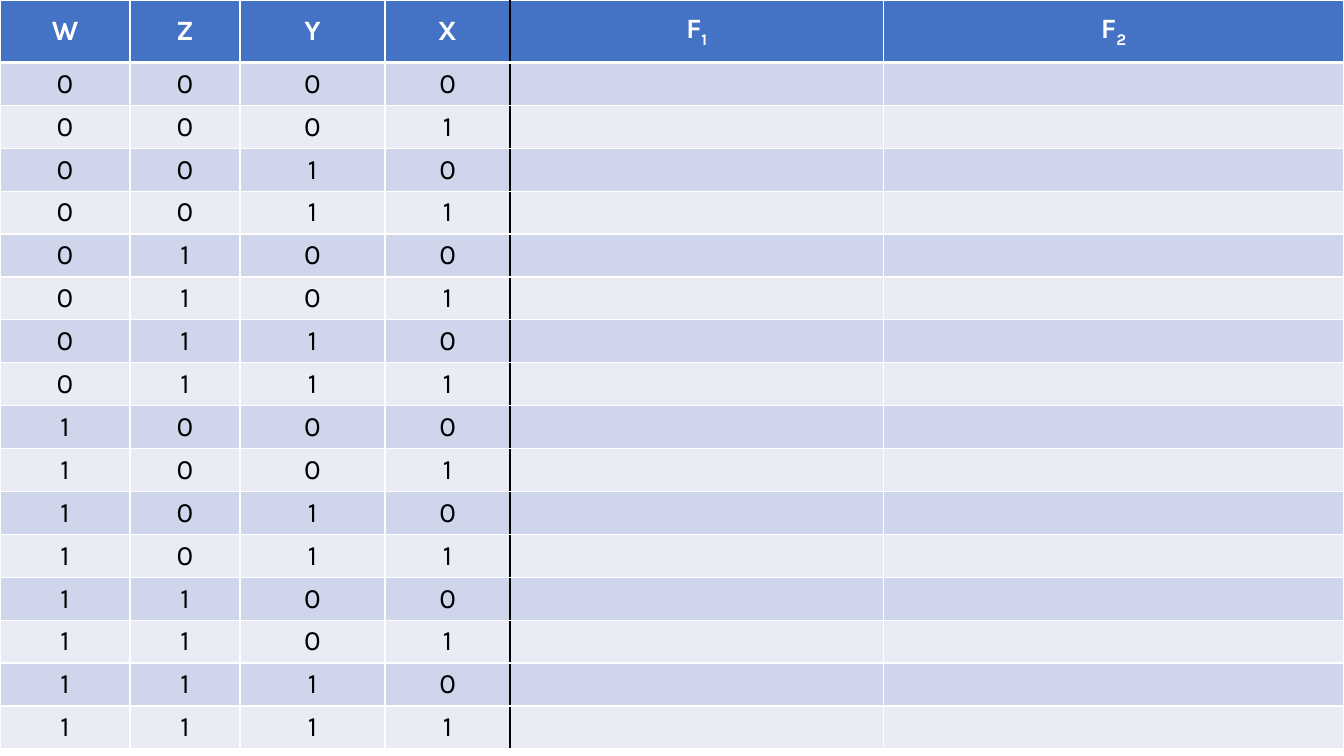
from dataclasses import dataclass
from itertools import product

from lxml import etree
from pptx import Presentation
from pptx.dml.color import RGBColor
from pptx.enum.text import MSO_ANCHOR, PP_ALIGN
from pptx.oxml.ns import qn
from pptx.table import _Cell
from pptx.util import Inches, Pt

CENTER = PP_ALIGN.CENTER
MIDDLE = MSO_ANCHOR.MIDDLE


@dataclass(frozen=True)
class Theme:
    font: str = "Karla"
    text_size: float = 20
    header_fill: str = "4472C4"
    band_fills: tuple[str, str] = ("CFD5EA", "E9EBF5")
    header_text: str = "FFFFFF"
    body_text: str = "000000"
    grid: str = "FFFFFF"
    divider: str = "000000"
    grid_width: float = 1
    header_rule_width: float = 3


@dataclass(frozen=True)
class Signal:
    name: str
    width: float
    subscript: str = ""


THEME = Theme()
INPUTS = [Signal("W", 1.29), Signal("Z", 1.09), Signal("Y", 1.44), Signal("X", 1.24)]
OUTPUTS = [Signal("F", 3.7, "1"), Signal("F", 4.57, "2")]
SIGNALS = INPUTS + OUTPUTS
HEADER_HEIGHT = 0.62
ROW_HEIGHT = 0.42


def add_border(cell: _Cell, side: str, color: str, width: float) -> None:
    line = etree.SubElement(cell._tc.get_or_add_tcPr(), qn(f"a:ln{side}"), w=str(Pt(width)))
    fill = etree.SubElement(line, qn("a:solidFill"))
    etree.SubElement(fill, qn("a:srgbClr"), val=color)


def style_cell(cell: _Cell, row: int, column: int) -> None:
    """Draw the borders and fill, with a dark divider between inputs and outputs."""
    left = THEME.divider if column == len(INPUTS) else THEME.grid
    right = THEME.divider if column == len(INPUTS) - 1 else THEME.grid
    top_width = THEME.header_rule_width if row == 1 else THEME.grid_width
    bottom_width = THEME.header_rule_width if row == 0 else THEME.grid_width
    add_border(cell, "L", left, THEME.grid_width)
    add_border(cell, "R", right, THEME.grid_width)
    add_border(cell, "T", THEME.grid, top_width)
    add_border(cell, "B", THEME.grid, bottom_width)
    color = THEME.band_fills[(row - 1) % 2] if row else THEME.header_fill
    cell.fill.solid()
    cell.fill.fore_color.rgb = RGBColor.from_string(color)
    cell.vertical_anchor = MIDDLE


def write_cell(cell: _Cell, text: str, color: str, bold: bool, subscript: str = "") -> None:
    paragraph = cell.text_frame.paragraphs[0]
    paragraph.text = text
    paragraph.alignment = CENTER
    if subscript:
        lowered = paragraph.add_run()
        lowered.text = subscript
        lowered._r.get_or_add_rPr().set("baseline", "-25000")
    for run in paragraph.runs:
        run.font.name = THEME.font
        run.font.size = Pt(THEME.text_size)
        run.font.bold = bold
        run.font.color.rgb = RGBColor.from_string(color)


def main() -> None:
    presentation = Presentation()
    presentation.slide_width = Inches(13.33)
    presentation.slide_height = Inches(7.5)
    slide = presentation.slides.add_slide(presentation.slide_layouts[6])

    # Truth table grid
    input_rows = list(product("01", repeat=len(INPUTS)))
    truth_table = slide.shapes.add_table(
        len(input_rows) + 1, len(SIGNALS), Inches(0), Inches(0),
        Inches(sum(signal.width for signal in SIGNALS)),
        Inches(HEADER_HEIGHT + ROW_HEIGHT * len(input_rows)),
    ).table
    for column, signal in zip(truth_table.columns, SIGNALS):
        column.width = Inches(signal.width)
    for index, row in enumerate(truth_table.rows):
        row.height = Inches(ROW_HEIGHT if index else HEADER_HEIGHT)
        for position, cell in enumerate(row.cells):
            style_cell(cell, index, position)

    # Signal names
    for position, signal in enumerate(SIGNALS):
        cell = truth_table.cell(0, position)
        cell.margin_top = cell.margin_bottom = Inches(0)
        write_cell(cell, signal.name, THEME.header_text, True, signal.subscript)

    # Every input combination in binary order
    for index, bits in enumerate(input_rows, start=1):
        for position, bit in enumerate(bits):
            write_cell(truth_table.cell(index, position), bit, THEME.body_text, False)

    presentation.save("out.pptx")


if __name__ == "__main__":
    main()
